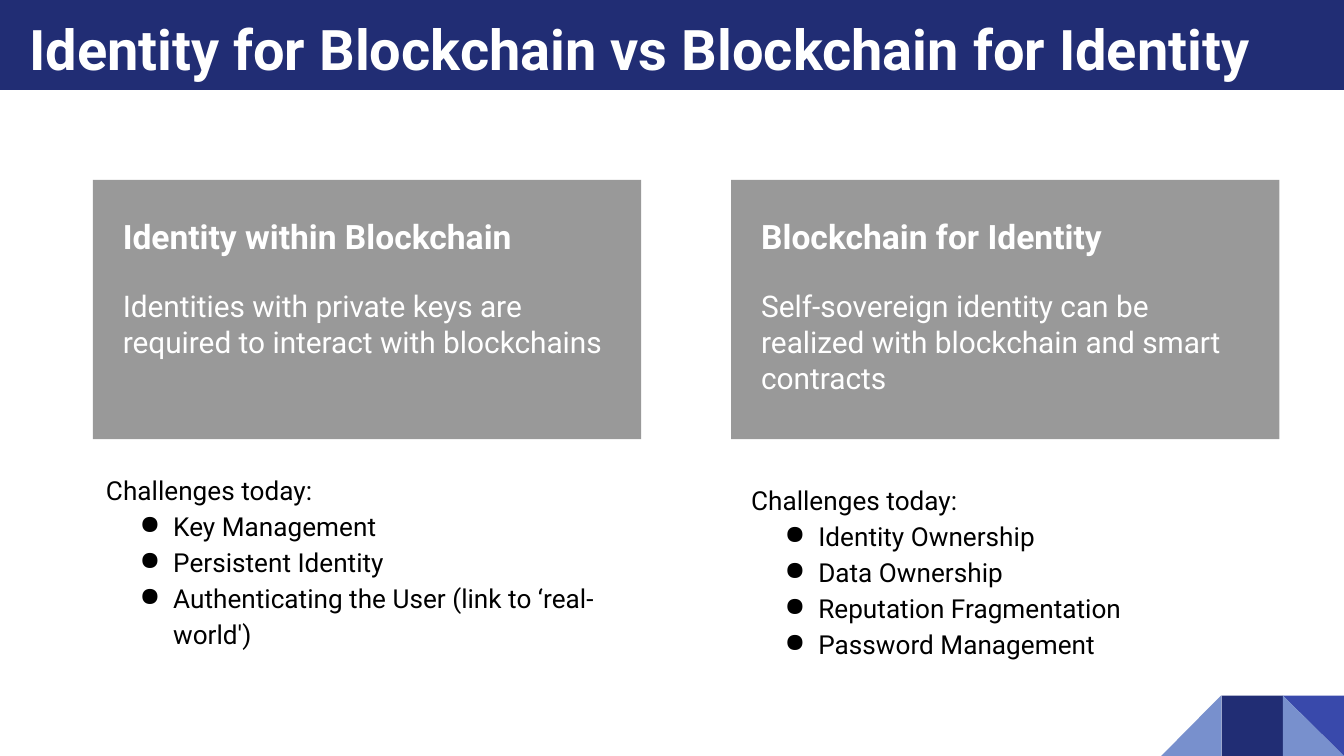
from pptx import Presentation
from pptx.dml.color import RGBColor
from pptx.enum.shapes import MSO_SHAPE as Kind
from pptx.enum.text import MSO_ANCHOR as Anchor
from pptx.oxml.ns import qn
from pptx.util import Inches, Pt
from lxml.etree import SubElement

NAVY = RGBColor(0x21, 0x2D, 0x74)
BLUE = RGBColor(0x39, 0x49, 0xAB)
PALE = RGBColor(0x78, 0x90, 0xCD)
GRAY = RGBColor(0x99, 0x99, 0x99)
WHITE = RGBColor(0xFF, 0xFF, 0xFF)
BLACK = RGBColor(0, 0, 0)

deck = Presentation()
deck.slide_width = Inches(10)
deck.slide_height = Inches(5.625)
COL = deck.slide_width / 100
ROW = deck.slide_height / 100
slide = deck.slides.add_slide(deck.slide_layouts[6])
shapes = slide.shapes


def block(kind, x, y, w, h, fill, turn=0):
    shape = shapes.add_shape(kind, int(x * COL), int(y * ROW), int(w * COL), int(h * ROW))
    shape.shadow.inherit = False
    shape.fill.solid()
    shape.fill.fore_color.rgb = fill
    shape.line.fill.background()
    shape.rotation = turn


def write(x, y, w, h, lines, color, anchor=Anchor.TOP):
    box = shapes.add_textbox(int(x * COL), int(y * ROW), int(w * COL), int(h * ROW))
    frame = box.text_frame
    frame.word_wrap = True
    frame.vertical_anchor = anchor
    frame.margin_left = frame.margin_right = Inches(0.1)
    frame.margin_top = frame.margin_bottom = Inches(0.1)
    for i, (text, size, bold) in enumerate(lines):
        para = frame.paragraphs[0] if i == 0 else frame.add_paragraph()
        para.text = text
        para.font.name = "Roboto"
        para.font.size = Pt(size)
        para.font.bold = bold
        para.font.color.rgb = color
    return frame


SIDE = 4.55
corner = [
    (Kind.RECTANGLE, 2, NAVY, 0),
    (Kind.RIGHT_TRIANGLE, 1, BLUE, 180),
    (Kind.RIGHT_TRIANGLE, 1, PALE, 0),
    (Kind.RIGHT_TRIANGLE, 3, PALE, 270),
]
for kind, step, fill, turn in corner:
    block(kind, 100 - step * SIDE, 92, SIDE, 8, fill, turn)

block(Kind.RECTANGLE, 0, 0, 100, 11.9, NAVY)
title = "Identity for Blockchain vs Blockchain for Identity"
write(1.2, 0.4, 97.6, 11.9, [(title, 30, True)], WHITE, Anchor.MIDDLE)

cards = [
    (6.9, "Identity within Blockchain",
     "Identities with private keys are required to interact with blockchains"),
    (54.4, "Blockchain for Identity",
     "Self-sovereign identity can be realized with blockchain and smart contracts"),
]
for x, head, body in cards:
    block(Kind.RECTANGLE, x, 23.8, 40.8, 34.3, GRAY)
    frame = write(x + 1.25, 26.8, 38.5, 29.2, [(head, 18, True), (body, 16, False)], WHITE)
    frame.paragraphs[1].space_before = Pt(17)

lists = [
    (6.9, 56.9, 41.8, 0.1,
     ["Key Management", "Persistent Identity",
      "Authenticating the User (link to ‘real-world')"]),
    (54.9, 60.6, 32.8, 0.37,
     ["Identity Ownership", "Data Ownership", "Reputation Fragmentation",
      "Password Management"]),
]
for x, y, w, pad, items in lists:
    lines = [(text, 14, False) for text in ["Challenges today:"] + items]
    frame = write(x, y, w, 34.3, lines, BLACK, Anchor.MIDDLE)
    frame.margin_bottom = Inches(pad)
    for i, para in enumerate(frame.paragraphs):
        para.line_spacing = 1.15
        if i:
            props = para._p.get_or_add_pPr()
            props.set("marL", str(Inches(0.5)))
            props.set("indent", str(Inches(-0.25)))
            mark = SubElement(props, qn("a:buChar"))
            mark.set("char", "●")
            props.append(props.find(qn("a:defRPr")))

deck.save("out.pptx")
